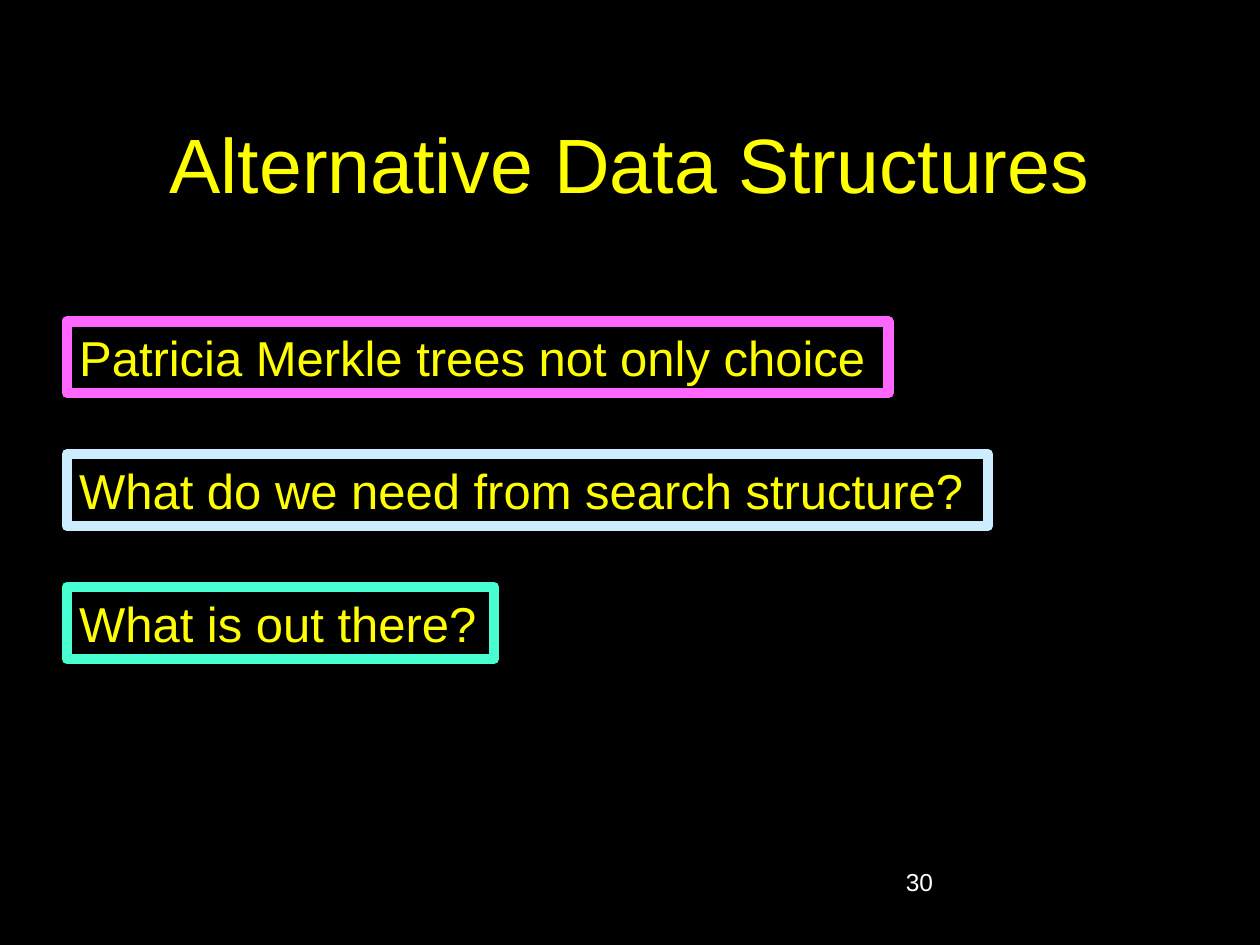
"""Build the Alternative Data Structures slide."""
from pptx import Presentation
from pptx.dml.color import RGBColor
from pptx.enum.shapes import MSO_SHAPE
from pptx.enum.text import MSO_ANCHOR, PP_ALIGN
from pptx.util import Inches, Pt

BLACK = RGBColor(0x00, 0x00, 0x00)
WHITE = RGBColor(0xFF, 0xFF, 0xFF)
YELLOW = RGBColor(0xFF, 0xFF, 0x00)
PINK = RGBColor(0xFF, 0x66, 0xFF)
PALE_BLUE = RGBColor(0xCC, 0xEC, 0xFF)
MINT = RGBColor(0x47, 0xFF, 0xD1)

TITLE = "Alternative Data Structures"
PAGE_NUMBER = "30"
POINTS = [
    ("Patricia Merkle trees not only choice", 6.52, PINK),
    ("What do we need from search structure?", 7.31, PALE_BLUE),
    ("What is out there?", 3.39, MINT),
]
POINT_LEFT, POINT_TOP, POINT_HEIGHT, POINT_PITCH = 0.53, 2.55, 0.57, 1.055


def write(shape, text, size, color, anchor=MSO_ANCHOR.TOP, alignment=PP_ALIGN.LEFT):
    frame = shape.text_frame
    frame.word_wrap = True
    frame.vertical_anchor = anchor
    paragraph = frame.paragraphs[0]
    paragraph.alignment = alignment
    run = paragraph.add_run()
    run.text = text
    run.font.color.rgb = color
    for name, value in {"name": "Arial", "size": Pt(size)}.items():
        setattr(run.font, name, value)


def add_point(slide, index, text, width, border):
    top = POINT_TOP + index * POINT_PITCH
    box = [Inches(value) for value in (POINT_LEFT, top, width, POINT_HEIGHT)]
    shape = slide.shapes.add_shape(MSO_SHAPE.RECTANGLE, *box)
    shape.shadow.inherit = False
    shape.fill.solid()
    shape.fill.fore_color.rgb = BLACK
    shape.line.color.rgb = border
    shape.line.width = Pt(6)
    write(shape, text, 28, YELLOW)


def main():
    presentation = Presentation()
    presentation.slide_width, presentation.slide_height = Inches(10), Inches(7.5)
    slide = presentation.slides.add_slide(presentation.slide_layouts[5])
    slide.background.fill.solid()
    slide.background.fill.fore_color.rgb = BLACK

    title = slide.shapes.title
    place = {"left": 0.75, "top": 0.67, "width": 8.5, "height": 1.25}
    for name, value in place.items():
        setattr(title, name, Inches(value))
    write(title, TITLE, 44, YELLOW, MSO_ANCHOR.MIDDLE, PP_ALIGN.CENTER)

    number_box = [Inches(value) for value in (7.09, 6.83, 2.08, 0.5)]
    write(slide.shapes.add_textbox(*number_box), PAGE_NUMBER, 14, WHITE)

    for index, point in enumerate(POINTS):
        add_point(slide, index, *point)

    presentation.save("out.pptx")


if __name__ == "__main__":
    main()
